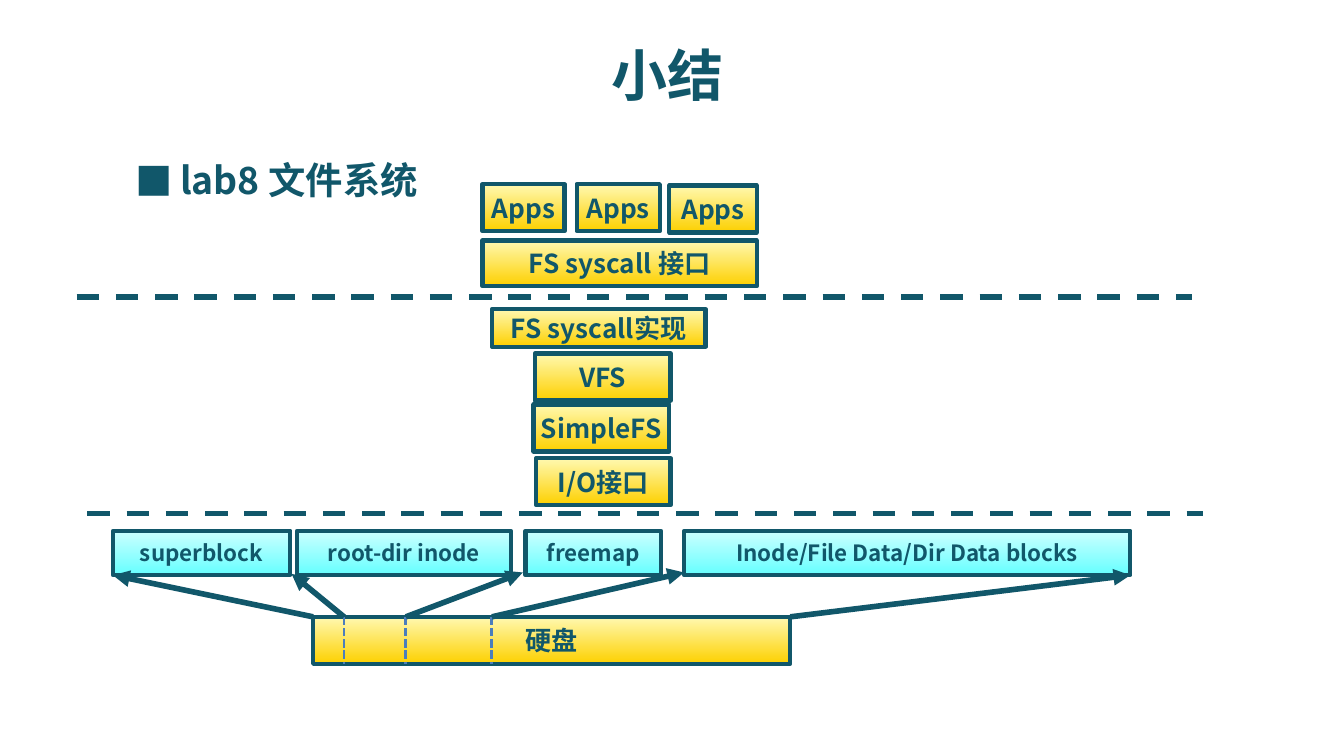
"""Build a summary slide of the layers and disk layout of a file system."""
from lxml.etree import SubElement as Sub
from pptx import Presentation
from pptx.dml.color import RGBColor as Rgb
from pptx.enum.dml import MSO_LINE as Dash
from pptx.enum.shapes import MSO_CONNECTOR as Conn, MSO_SHAPE as Shape
from pptx.enum.text import MSO_ANCHOR as Anchor, MSO_AUTO_SIZE as Auto, PP_ALIGN as Align
from pptx.oxml.ns import qn
from pptx.util import Inches, Pt

FONT = "Noto Sans CJK SC"
COLORS = {"ink": "11576A", "split": "4B7EBC"}
FILLS = {"gold": ("FFF9B1", "FDD000"), "aqua": ("CCFFFF", "66FFFF")}


def color(name):
    """Return a named colour."""
    return Rgb.from_string(COLORS[name])


def write(shape, text, size, align=Align.CENTER):
    """Put one bold paragraph in a shape and return it."""
    frame = shape.text_frame
    frame.text = text
    frame.auto_size = Auto.NONE
    frame.vertical_anchor = Anchor.MIDDLE
    para = frame.paragraphs[0]
    para.alignment = align
    para.space_before = Pt(0)
    font = para.font
    font.name, font.size, font.bold = FONT, Pt(size), True
    font.color.rgb = color("ink")
    for run in para.runs:
        Sub(run._r.get_or_add_rPr(), qn("a:ea"), typeface=FONT)
    return para


def place(shape, left, top, width, height):
    """Move a placeholder to a box."""
    shape.left, shape.top = Inches(left), Inches(top)
    shape.width, shape.height = Inches(width), Inches(height)


def block(slide, text, box, fill="gold", size=14):
    """Draw a labelled gradient block."""
    shape = slide.shapes.add_shape(Shape.RECTANGLE, *map(Inches, box))
    shape.shadow.inherit = False
    shape.fill.gradient()
    shape.fill.gradient_angle = 270
    for stop, shade, pos in zip(shape.fill.gradient_stops, FILLS[fill], (0, 1)):
        stop.color.rgb = Rgb.from_string(shade)
        stop.position = pos
    shape.line.color.rgb = color("ink")
    shape.line.width = Pt(2.25)
    write(shape, text, size)
    shape.text_frame.word_wrap = False


def rule(slide, start, end, tone="ink", width=3, dash=None, arrow=False):
    """Draw a line, dashed or with an arrowhead if asked."""
    line = slide.shapes.add_connector(Conn.STRAIGHT, *map(Inches, (*start, *end)))
    line.line.color.rgb = color(tone)
    line.line.width = Pt(width)
    if dash:
        line.line.dash_style = dash
    if arrow:
        Sub(line.line._get_or_add_ln(), qn("a:tailEnd"), type="triangle")
    Sub(line._element.spPr, qn("a:effectLst"))


def heads(slide, left, top):
    """Fill the title and the bulleted topic."""
    title, body = slide.placeholders
    place(title, left, top, 9, 0.56)
    write(title, "小结", 30)
    place(body, left + 0.44, top + 0.83, 2.5, 0.47)
    props = write(body, "lab8 文件系统", 20, Align.LEFT)._p.get_or_add_pPr()
    props.set("marL", str(Inches(0.33)))
    props.set("indent", str(Inches(-0.33)))
    Sub(props, qn("a:buFont"), typeface="Noto Sans CJK JP")
    Sub(props, qn("a:buChar"), char="■")


def stack(slide, left, top):
    """Draw the software layers and the lines between their levels."""
    layers = [
        ("Apps", 0, 0, 0.61, 0.35),
        ("Apps", 0.7, 0, 0.62, 0.35),
        ("Apps", 1.39, 0.01, 0.65, 0.35),
        ("FS syscall 接口", 0, 0.42, 2.04, 0.34),
        ("FS syscall实现", 0.07, 0.93, 1.59, 0.28),
        ("VFS", 0.39, 1.26, 1.01, 0.35),
        ("SimpleFS", 0.38, 1.64, 1.01, 0.35),
        ("I/O接口", 0.4, 2.04, 1, 0.35),
    ]
    for text, x, y, width, height in layers:
        block(slide, text, (left + x, top + y, width, height))
    for x, y in ((-3.02, 0.84), (-2.94, 2.45)):
        start = left + x, top + y
        rule(slide, start, (start[0] + 8.3, start[1]), dash=Dash.DASH)


def disk(slide, left, top):
    """Draw the disk, its parts and the arrows that open them up."""
    parts = [
        ("superblock", 0, 1.32),
        ("root-dir inode", 1.37, 1.59),
        ("freemap", 3.07, 1.01),
        ("Inode/File Data/Dir Data blocks", 4.25, 3.32),
    ]
    edge = top + 0.64
    block(slide, "硬盘", (left + 1.49, edge, 3.55, 0.35))
    for text, x, width in parts:
        block(slide, text, (left + x, top, width, 0.33), "aqua", 12)
    for x in (1.72, 2.18, 2.82):
        rule(slide, (left + x, edge), (left + x, edge + 0.35), "split", 1.5, Dash.SQUARE_DOT)
    arrows = [(1.49, 0, 0.33), (1.72, 1.33, 0.32), (2.18, 3.05, 0.31),
              (2.82, 4.25, 0.31), (5.04, 7.57, 0.33)]
    for base, tip, drop in arrows:
        rule(slide, (left + base, edge), (left + tip, top + drop), arrow=True)


def main():
    """Build and save the deck."""
    deck = Presentation()
    deck.slide_width = Inches(10)
    deck.slide_height = deck.slide_width * 9 // 16
    slide = deck.slides.add_slide(deck.slide_layouts[1])
    heads(slide, 0.47, 0.27)
    stack(slide, 3.59, 1.37)
    disk(slide, 0.84, 3.95)
    deck.save("out.pptx")


main()
